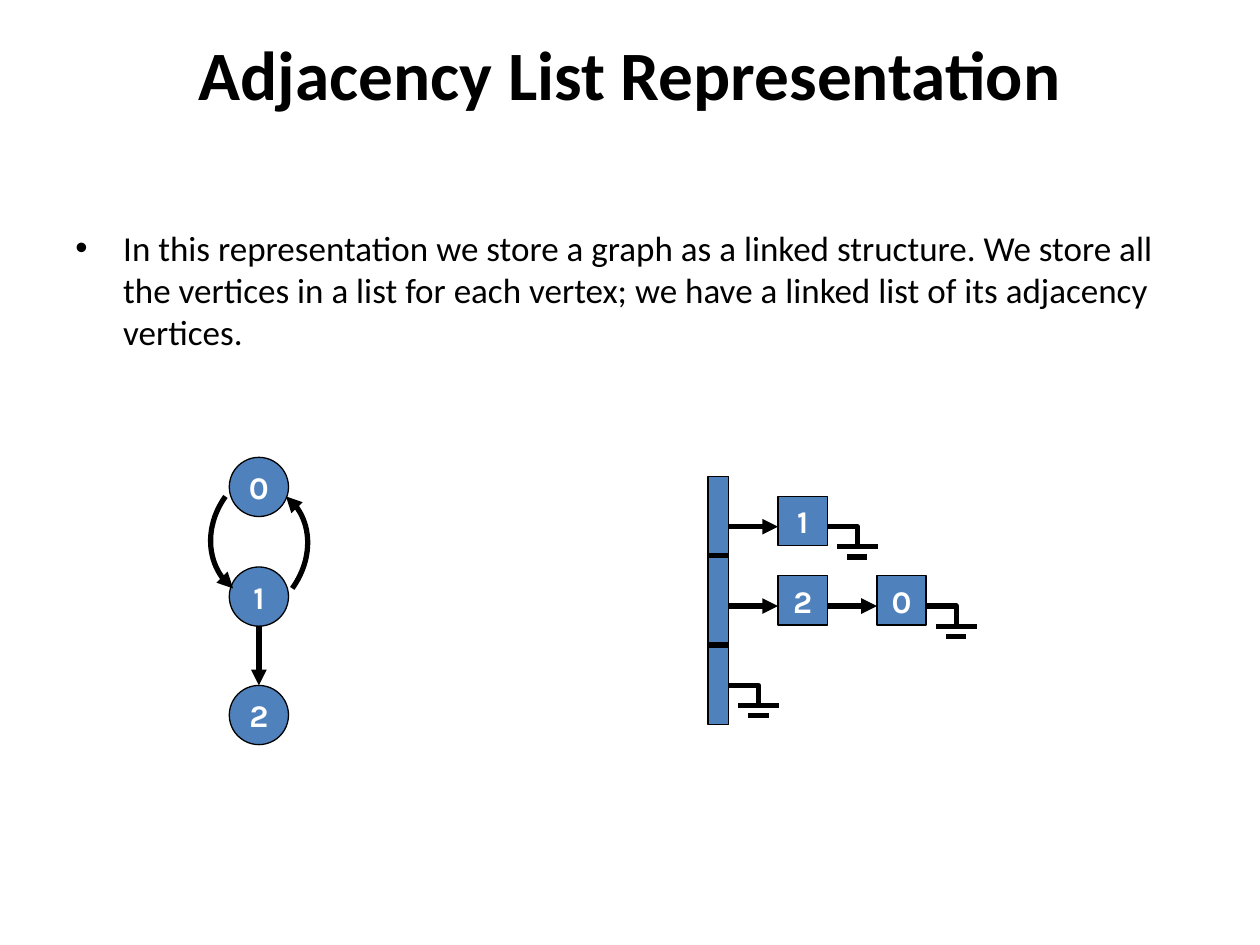
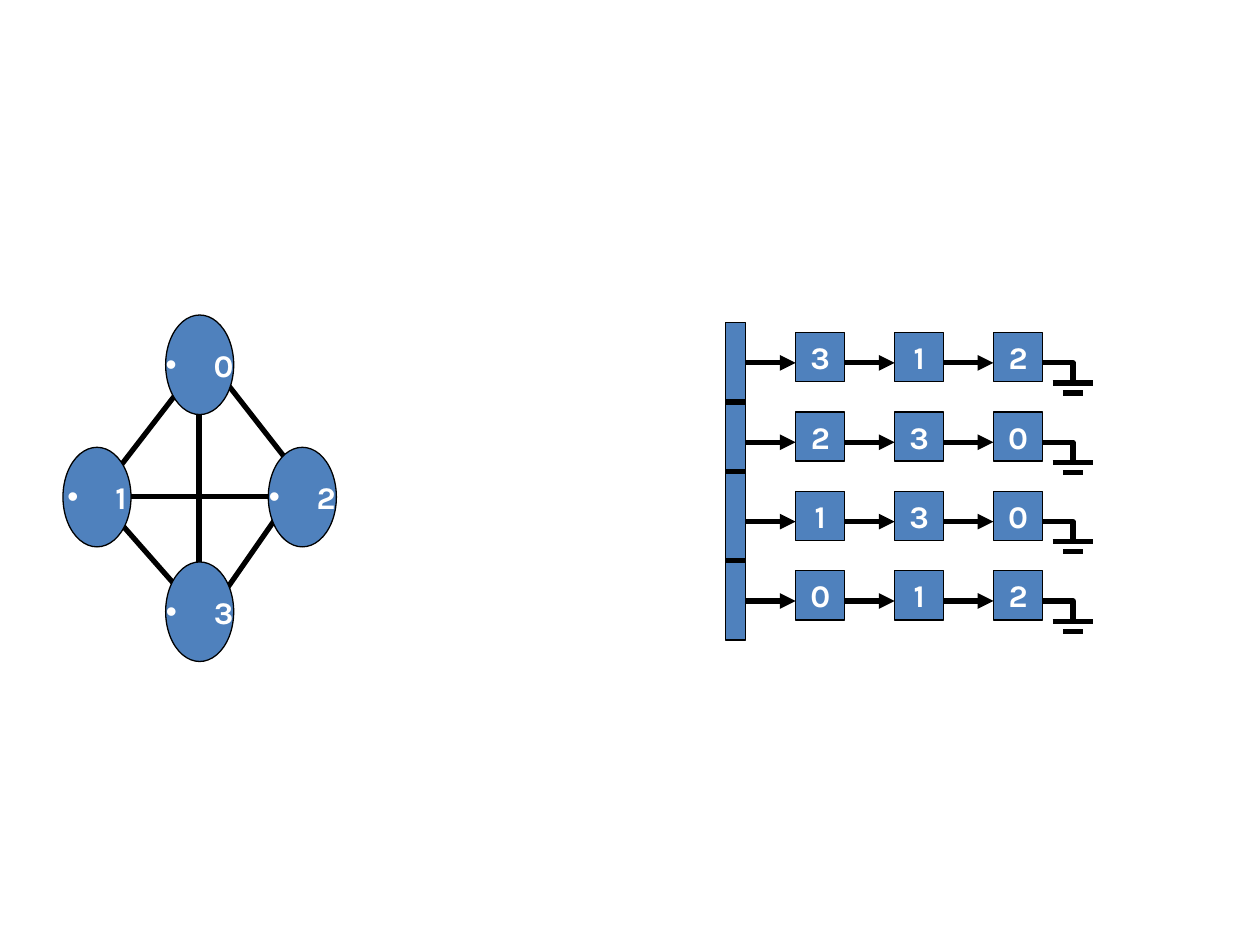
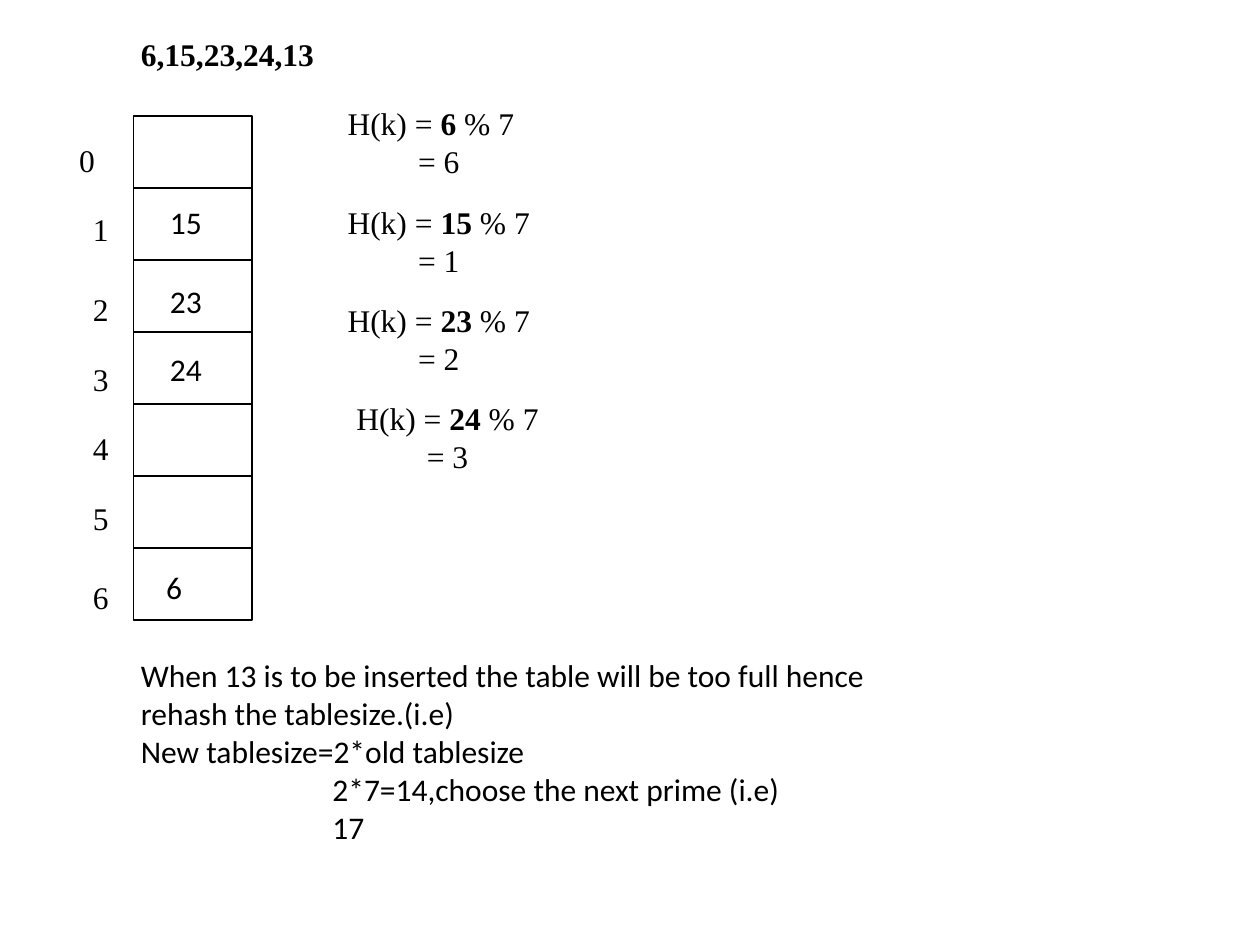
"""Builds three slides on adjacency lists and rehashing."""
from lxml import etree
from pptx import Presentation
from pptx import util as u
from pptx.dml import color
from pptx.enum import shapes, text
from pptx.oxml import ns

COLORS = {"ink": "000000", "node": "4F81BD", "label": "FFFFFF"}
BODY_FONT, NODE_FONT, MATH_FONT = "Calibri", "Karla", "Times New Roman"
THICK, THIN, BORDER = 3, 0.75, 1
NODE_SIZE, BAR_WIDTH = 0.39, 0.16


def rgb(name):
    """Return a named colour."""
    return color.RGBColor.from_string(COLORS[name])


def set_line(shape, width, arrow=False):
    """Give a shape or connector a black line, with an arrowhead at its end if asked."""
    shape.line.color.rgb = rgb("ink")
    shape.line.width = u.Pt(width)
    if arrow:
        outline = shape.element.find(ns.qn("p:spPr")).find(ns.qn("a:ln"))
        etree.SubElement(outline, ns.qn("a:tailEnd"), type="triangle")


def add_line(page, start, end, arrow=False):
    """Draw a thick straight line between two points."""
    points = [u.Inches(value) for value in (*start, *end)]
    line = page.shapes.add_connector(shapes.MSO_CONNECTOR.STRAIGHT, *points)
    set_line(line, THICK, arrow)
    etree.SubElement(line.element.find(ns.qn("p:spPr")), ns.qn("a:effectLst"))


def add_outline(page, points, arrow=False):
    """Draw a thick open outline through the points."""
    corners = [(u.Inches(x), u.Inches(y)) for x, y in points]
    builder = page.shapes.build_freeform(*corners[0])
    builder.add_line_segments(corners[1:], close=False)
    outline = builder.convert_to_shape()
    outline.fill.background()
    outline.shadow.inherit = False
    set_line(outline, THICK, arrow)


def add_curve(page, start, bend_a, bend_b, end, steps=24):
    """Draw a cubic curve that ends in an arrowhead."""
    points = []
    for step in range(steps + 1):
        t = step / steps
        weights = ((1 - t) ** 3, 3 * t * (1 - t) ** 2, 3 * t * t * (1 - t), t ** 3)
        points.append(tuple(sum(weight * point[axis] for weight, point in
                                zip(weights, (start, bend_a, bend_b, end)))
                            for axis in (0, 1)))
    add_outline(page, points, arrow=True)


def set_indent(para, indent, bullet=False):
    """Indent a paragraph, hanging it behind a bullet if asked."""
    settings = para._p.get_or_add_pPr()
    settings.set("marL", str(u.Inches(indent)))
    if bullet:
        settings.set("indent", str(-u.Inches(indent)))
        etree.SubElement(settings, ns.qn("a:buFont"), typeface="Arial")
        etree.SubElement(settings, ns.qn("a:buChar"), char="•")


def add_span(para, words, font, size=18, bold=False, ink="ink"):
    """Add one run of text to a paragraph."""
    span = para.add_run()
    span.text = words
    span.font.name, span.font.size, span.font.bold = font, u.Pt(size), bold
    span.font.color.rgb = rgb(ink)


def add_text(page, box, paragraphs, font, size=18, bullet=False, align=None):
    """Add a text box from pairs of an indent and a list of (words, bold) runs."""
    frame = page.shapes.add_textbox(*map(u.Inches, box)).text_frame
    frame.word_wrap = True
    for number, (indent, spans) in enumerate(paragraphs):
        para = frame.add_paragraph() if number else frame.paragraphs[0]
        if indent:
            set_indent(para, indent, bullet)
        para.alignment = align
        for words, bold in spans:
            add_span(para, words, font, size, bold)
    return frame


def add_shape(page, kind, box, label="", bullet=False):
    """Add a blue shape with an optional white label."""
    shape = page.shapes.add_shape(kind, *map(u.Inches, box))
    shape.shadow.inherit = False
    shape.fill.solid()
    shape.fill.fore_color.rgb = rgb("node")
    set_line(shape, THIN)
    if label:
        frame = shape.text_frame
        frame.word_wrap = False
        frame.vertical_anchor = text.MSO_ANCHOR.MIDDLE
        para = frame.paragraphs[0]
        if bullet:
            set_indent(para, 0.38, bullet=True)
        para.alignment = text.PP_ALIGN.CENTER
        add_span(para, label, NODE_FONT, bold=True, ink="label")


def add_ground(page, x, y):
    """Draw the end-of-list sign that starts at a point."""
    add_outline(page, [(x, y), (x + 0.24, y), (x + 0.24, y + 0.16)])
    for inset, drop in ((0.08, 0.16), (0.16, 0.24)):
        add_line(page, (x + inset, y + drop), (x + 0.48 - inset, y + drop))


def add_adjacency_list(page, box, rows, dividers, first_node):
    """Draw the vertex bar with one linked list for each row."""
    left, top, width, height = box
    column_step, row_step = 0.785, 0.63
    add_shape(page, shapes.MSO_SHAPE.RECTANGLE, box)
    for drop in dividers:
        add_line(page, (left, top + drop), (left + width, top + drop))
    for row, labels in enumerate(rows):
        node_top = top + first_node + row * row_step
        link_y = node_top + 0.24
        link_x = left + width
        for column, label in enumerate(labels):
            node_left = left + 0.555 + column * column_step
            add_shape(page, shapes.MSO_SHAPE.RECTANGLE,
                      (node_left, node_top, NODE_SIZE, NODE_SIZE), label)
            add_line(page, (link_x, link_y), (node_left, link_y), arrow=True)
            link_x = node_left + NODE_SIZE
        add_ground(page, link_x, link_y)


def add_directed_graph(page, box):
    """Draw the column of three vertices and their arrows."""
    left, top, size, _ = box
    for label, drop in (("0", 0), ("1", 0.87), ("2", 1.81)):
        add_shape(page, shapes.MSO_SHAPE.OVAL, (left, top + drop, size, size), label)
    middle = left + size / 2
    add_line(page, (middle, top + 1.34), (middle, top + 1.81), arrow=True)
    for curve in (((0.5, 1.04), (0.68, 0.79), (0.66, 0.47), (0.45, 0.31)),
                  ((-0.03, 0.31), (-0.21, 0.56), (-0.18, 0.88), (0.03, 1.04))):
        add_curve(page, *((left + x, top + y) for x, y in curve))


def add_complete_graph(page, box):
    """Draw four vertices with an edge between each pair."""
    left, top, width, height = box
    oval_width, oval_height = 0.54, 0.79
    north, west, east, south = (1.08, 0.39), (0.27, 1.44), (1.9, 1.44), (1.08, 2.36)
    east_end = (1.9, 1.31)
    edges = ((north, south), (west, east), (north, west), (west, south),
             ((1.08, 0.26), east_end), (east_end, (1.17, 2.36)))
    for edge in edges:
        add_line(page, *((left + x, top + y) for x, y in edge))
    middle, right = (width - oval_width) / 2, width - oval_width
    spots = ((middle, 0), (0, 1.05), (right, 1.05), (middle, height - oval_height))
    for label, (x, y) in enumerate(spots):
        add_shape(page, shapes.MSO_SHAPE.OVAL,
                  (left + x, top + y, oval_width, oval_height), str(label), bullet=True)


def add_hash_table(page, box):
    """Draw the seven slots with their indexes and stored keys."""
    left, top, width, height = box
    slots = 7
    for slot in range(slots):
        cell = page.shapes.add_shape(
            shapes.MSO_SHAPE.RECTANGLE,
            *map(u.Inches, (left, top + slot * height / slots, width, height / slots)))
        cell.shadow.inherit = False
        cell.fill.background()
        set_line(cell, BORDER)
    for slot, drop in enumerate((0.15, 0.7, 1.33, 1.89, 2.44, 2.99, 3.62)):
        offset, label_width, indent = (-0.55, 0.47, 0.13) if slot else (-0.78, 0.71, 0.25)
        add_text(page, (left + offset, top + drop, label_width, 0.4),
                 [(indent, [(str(slot), False)])], MATH_FONT)
    for key, inset, drop in (("15", 0.19, 0.64), ("23", 0.19, 1.27),
                             ("24", 0.19, 1.81), ("6", 0.16, 3.54)):
        add_text(page, (left + inset, top + drop, 0.63, 0.4),
                 [(0, [(key, False)])], BODY_FONT)


def add_hash_steps(page, box):
    """Write the hash of each inserted key."""
    left, top, width, height = box
    for step, (key, shift) in enumerate(((6, 0), (15, 0), (23, 0), (24, 0.07))):
        add_text(page, (left + shift, top + step * 0.78, width, height),
                 [(0, [("H(k) = ", False), (str(key), True), (" % 7", False)]),
                  (0.56, [(f"= {key % 7}", False)])], MATH_FONT)


def build_representation(page):
    """Build the slide that introduces adjacency lists."""
    title = add_text(page, (0.5, 0.25, 9, 1.25),
                     [(0, [("Adjacency List Representation", True)])],
                     BODY_FONT, 39.6, align=text.PP_ALIGN.CENTER)
    title.margin_top = 0
    add_text(page, (0.5, 1.75, 9, 4.95),
             [(0.38, [("In this representation we store a graph as a linked structure. "
                       "We store all the vertices in a list for each vertex; we have a "
                       "linked list of its adjacency vertices.", False)])],
             BODY_FONT, 20, bullet=True)
    add_directed_graph(page, (1.82, 3.63, 0.47, 2.28))
    add_adjacency_list(page, (5.62, 3.78, BAR_WIDTH, 1.97), ("1", "20", ""),
                       (0.63, 1.34), 0.16)


def build_complete_graph(page):
    """Build the slide with the four-vertex example."""
    add_complete_graph(page, (0.5, 2.5, 2.17, 2.75))
    add_adjacency_list(page, (5.76, 2.56, BAR_WIDTH, 2.52),
                       ("312", "230", "130", "012"), (0.63, 1.18, 1.89), 0.08)


def build_rehashing(page):
    """Build the slide that explains rehashing."""
    add_text(page, (1.02, 0.23, 5.63, 0.4), [(0, [("6,15,23,24,13", True)])], MATH_FONT)
    add_hash_table(page, (1.06, 0.92, 0.94, 4))
    add_hash_steps(page, (2.66, 0.78, 2.91, 0.71))
    lines = ((0, "When 13 is to be inserted the table will be too full hence "
                 "rehash the tablesize.(i.e)"),
             (0, "New tablesize=2*old tablesize"),
             (1.52, "2*7=14,choose the next prime (i.e)"),
             (1.52, "17"))
    add_text(page, (1.02, 5.16, 6.64, 1.92),
             [(indent, [(words, False)]) for indent, words in lines], BODY_FONT)


def main():
    """Build and save the deck."""
    deck = Presentation()
    deck.slide_width, deck.slide_height = u.Inches(10), u.Inches(7.5)
    for build in (build_representation, build_complete_graph, build_rehashing):
        build(deck.slides.add_slide(deck.slide_layouts[6]))
    deck.save("out.pptx")


if __name__ == "__main__":
    main()
